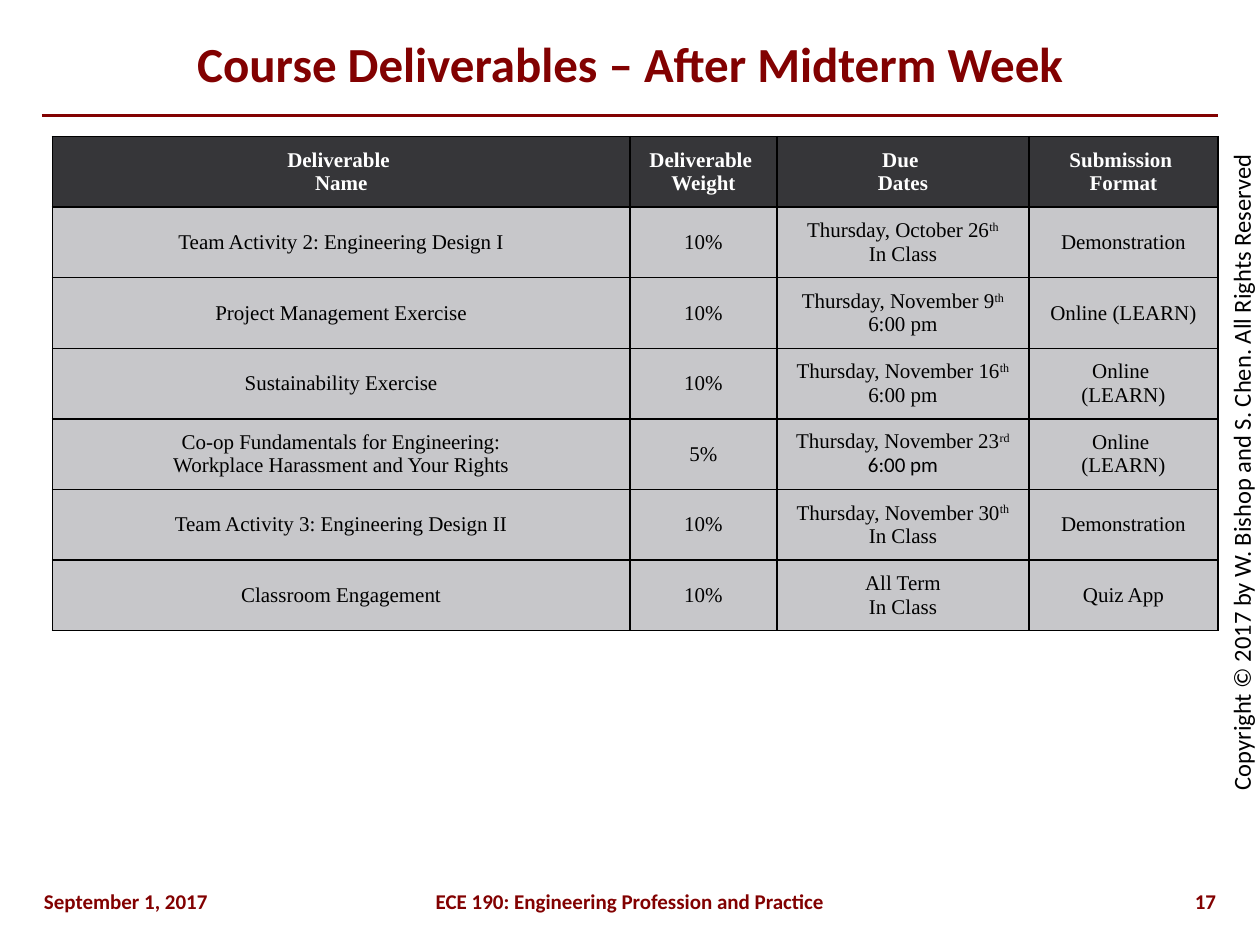
import dataclasses
import typing

import lxml.etree
import pptx
import pptx.dml.color
import pptx.enum.shapes
import pptx.enum.text
import pptx.oxml.ns
import pptx.util

Pt = pptx.util.Pt
RGBColor = pptx.dml.color.RGBColor
Align = pptx.enum.text.PP_ALIGN
Anchor = pptx.enum.text.MSO_ANCHOR
qn = pptx.oxml.ns.qn

MAROON = RGBColor(0x82, 0x01, 0x01)
BLACK = RGBColor(0, 0, 0)
WHITE = RGBColor(0xFF, 0xFF, 0xFF)
HEADER_FILL = RGBColor(0x36, 0x36, 0x39)
BODY_FILL = RGBColor(0xC7, 0xC7, 0xCA)

SANS = "Calibri"
SERIF = "Times New Roman"
COLUMN_WIDTHS = (330, 84, 144, 108)
ROW_HEIGHT = 38
CELL_MARGIN = 5.76


@dataclasses.dataclass(frozen=True)
class Label:
    text: str
    left: float
    top: float
    width: float
    height: float
    size: float = 12
    color: RGBColor = MAROON
    bold: bool = True
    align: Align = Align.CENTER
    anchor: Anchor = Anchor.TOP
    rotation: float = 0


@dataclasses.dataclass(frozen=True)
class Deliverable:
    name: str
    weight: str
    day: str
    ordinal: str
    time: str
    submission: str
    time_font: str = SERIF


LABELS = (
    Label("Copyright © 2017 by W. Bishop and S. Chen. All Rights Reserved",
          451.5, 257.75, 516, 24.5, size=14, color=BLACK, bold=False, rotation=270),
    Label("Course Deliverables – After Midterm Week",
          24, 12, 672, 48, size=28, anchor=Anchor.MIDDLE),
    Label("ECE 190: Engineering Profession and Practice", 120, 504, 480, 18),
    Label("17", 612, 504, 90, 18, align=Align.RIGHT),
    Label("September 1, 2017", 18, 504, 126, 18, align=Align.LEFT),
)

HEADERS = ("Deliverable \nName", "Deliverable \nWeight", "Due \nDates", "Submission \nFormat")

DELIVERABLES = (
    Deliverable("Team Activity 2: Engineering Design I", "10%",
                "Thursday, October 26", "th", "In Class", "Demonstration"),
    Deliverable("Project Management Exercise", "10%",
                "Thursday, November 9", "th", "6:00 pm", "Online (LEARN)"),
    Deliverable("Sustainability Exercise", "10%",
                "Thursday, November 16", "th", "6:00 pm", "Online \n(LEARN)"),
    Deliverable("Co-op Fundamentals for Engineering:\nWorkplace Harassment and Your Rights", "5%",
                "Thursday, November 23", "rd", "6:00 pm", "Online \n(LEARN)", time_font=SANS),
    Deliverable("Team Activity 3: Engineering Design II", "10%",
                "Thursday, November 30", "th", "In Class", "Demonstration"),
    Deliverable("Classroom Engagement", "10%", "All Term", "", "In Class", "Quiz App"),
)


def add_span(para: typing.Any, text: str, *, size: float = 12, font: str = SERIF,
             color: RGBColor = BLACK, bold: bool = False, raised: bool = False) -> None:
    span = para.add_run()
    span.text = text
    span.font.size = Pt(size)
    span.font.name = font
    span.font.color.rgb = color
    span.font.bold = bold
    if raised:
        span.font._element.set("baseline", "30000")


def write_lines(frame: typing.Any, text: str, *, align: Align = Align.CENTER,
                **span_format: typing.Any) -> None:
    for index, line in enumerate(text.split("\n")):
        para = frame.add_paragraph() if index else frame.paragraphs[0]
        para.alignment = align
        add_span(para, line, **span_format)


def draw_label(page: typing.Any, label: Label) -> None:
    box = page.shapes.add_textbox(Pt(label.left), Pt(label.top), Pt(label.width), Pt(label.height))
    box.rotation = label.rotation
    frame = box.text_frame
    frame.word_wrap = True
    frame.vertical_anchor = label.anchor
    write_lines(frame, label.text, align=label.align, size=label.size, font=SANS,
                color=label.color, bold=label.bold)


def draw_rule(page: typing.Any) -> None:
    rule = page.shapes.add_connector(pptx.enum.shapes.MSO_CONNECTOR.STRAIGHT,
                                     Pt(24), Pt(66), Pt(696), Pt(66))
    rule.line.color.rgb = MAROON
    rule.line.width = Pt(2.25)
    lxml.etree.SubElement(rule._element.spPr, qn("a:effectLst"))


def style_cell(cell: typing.Any, fill: RGBColor) -> None:
    cell.margin_left = cell.margin_right = Pt(CELL_MARGIN)
    cell.margin_top = cell.margin_bottom = Pt(CELL_MARGIN)
    cell.vertical_anchor = Anchor.MIDDLE
    properties = cell._tc.get_or_add_tcPr()
    for side in ("lnL", "lnR", "lnT", "lnB"):
        border = lxml.etree.SubElement(properties, qn(f"a:{side}"), w=str(Pt(1)))
        solid = lxml.etree.SubElement(border, qn("a:solidFill"))
        lxml.etree.SubElement(solid, qn("a:srgbClr"), val=str(BLACK))
    cell.fill.solid()
    cell.fill.fore_color.rgb = fill


def write_due_date(frame: typing.Any, item: Deliverable) -> None:
    write_lines(frame, item.day)
    if item.ordinal:
        add_span(frame.paragraphs[0], item.ordinal, raised=True)
    para = frame.add_paragraph()
    para.alignment = Align.CENTER
    add_span(para, item.time, font=item.time_font)


def draw_schedule(page: typing.Any) -> None:
    row_count = len(DELIVERABLES) + 1
    table = page.shapes.add_table(row_count, len(HEADERS), Pt(30), Pt(78),
                                  Pt(sum(COLUMN_WIDTHS)), Pt(ROW_HEIGHT * row_count)).table
    table.horz_banding = False
    for column, width in zip(table.columns, COLUMN_WIDTHS):
        column.width = Pt(width)
    for cell, header in zip(table.rows[0].cells, HEADERS):
        style_cell(cell, HEADER_FILL)
        write_lines(cell.text_frame, header, color=WHITE, bold=True)
    for row, item in enumerate(DELIVERABLES, start=1):
        cells = tuple(table.rows[row].cells)
        for cell in cells:
            style_cell(cell, BODY_FILL)
        name, weight, due, submission = (cell.text_frame for cell in cells)
        write_lines(name, item.name)
        write_lines(weight, item.weight)
        write_due_date(due, item)
        write_lines(submission, item.submission)


def main() -> None:
    deck = pptx.Presentation()
    deck.slide_width = Pt(720)
    deck.slide_height = Pt(540)
    page = deck.slides.add_slide(deck.slide_layouts[6])
    draw_rule(page)
    for label in LABELS:
        draw_label(page, label)
    draw_schedule(page)
    deck.save("out.pptx")


if __name__ == "__main__":
    main()
